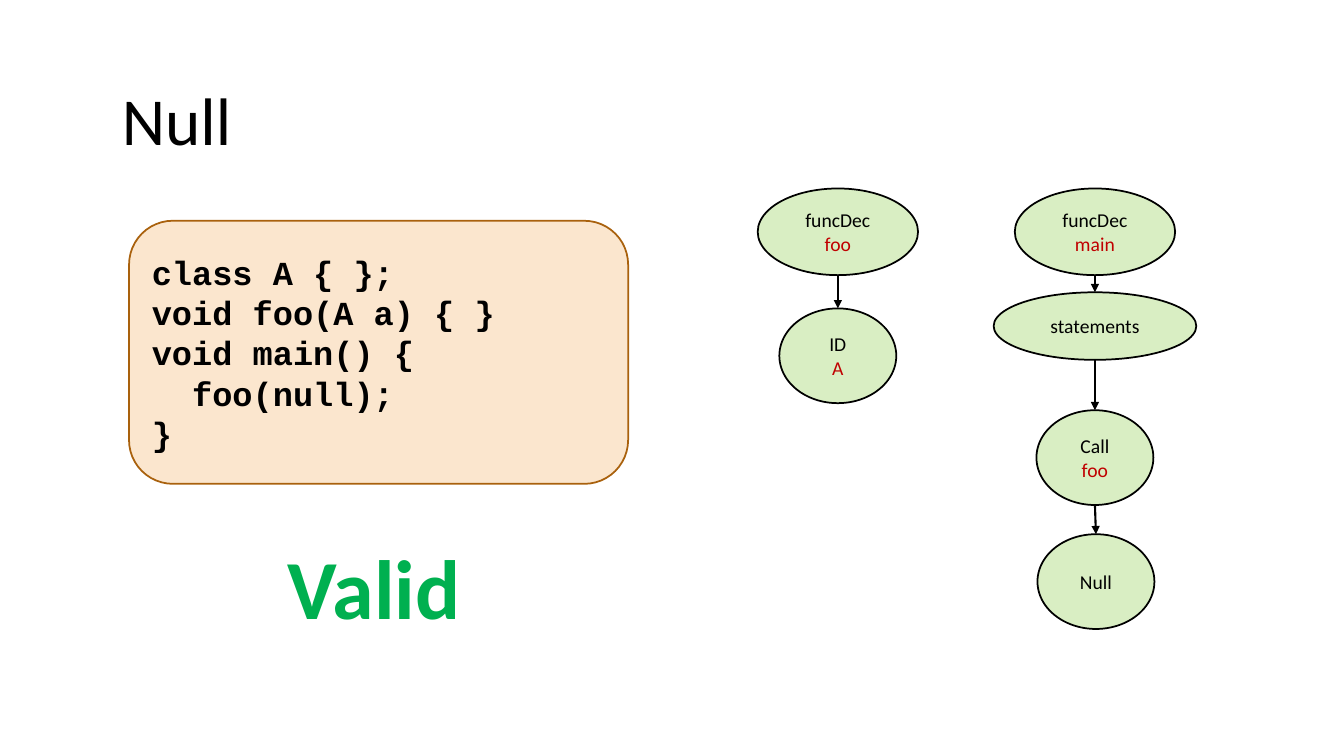
from dataclasses import dataclass

from lxml.etree import SubElement
from pptx import Presentation
from pptx.dml.color import RGBColor as RGB
from pptx.enum.shapes import MSO_CONNECTOR as LINK, MSO_SHAPE as SHAPE
from pptx.enum.text import MSO_ANCHOR as ANCHOR, MSO_AUTO_SIZE as FIT, PP_ALIGN as ALIGN
from pptx.oxml.ns import qn
from pptx.util import Inches, Pt


@dataclass(frozen=True)
class Theme:
    sans: str = "Calibri"
    mono: str = "Courier New"
    ink: str = "000000"
    name: str = "C00000"
    valid: str = "00B050"
    node: str = "92D050"
    panel: str = "FBE6CE"
    edge: str = "A9610D"
    title: int = 48
    result: int = 60
    code: int = 24
    label: int = 14
    alpha: int = 34
    border: float = 1.25
    arrow: float = 1.5


THEME = Theme()

CODE = """class A { };
void foo(A a) { }
void main() {
  foo(null);
}"""

WIDE = (1.59, 0.86)
FLAT = (2.01, 0.67)
ROUND = (1.16, 0.94)

TREES = [
    [("funcDec\nfoo", 8.31, 1.87, WIDE), ("ID\nA", 8.31, 3.06, ROUND)],
    [
        ("funcDec\nmain", 10.86, 1.87, WIDE),
        ("statements", 10.86, 2.9, FLAT),
        ("Call\nfoo", 10.86, 4.07, ROUND),
        ("Null", 10.87, 5.3, ROUND),
    ],
]


def style(par, size, color=THEME.ink, font=THEME.sans, bold=False, align=ALIGN.LEFT):
    par.alignment = align
    for run in par.runs:
        run.font.name = font
        run.font.size = Pt(size)
        run.font.bold = bold
        run.font.color.rgb = RGB.from_string(color)


def add_text(slide, text, box, size, **look):
    frame = slide.shapes.add_textbox(*map(Inches, box)).text_frame
    frame.word_wrap = True
    frame.auto_size = FIT.SHAPE_TO_FIT_TEXT
    frame.text = text
    style(frame.paragraphs[0], size, **look)


def add_form(slide, kind, box, fill, line, text):
    form = slide.shapes.add_shape(kind, *map(Inches, box))
    form.shadow.inherit = False
    form.fill.solid()
    form.fill.fore_color.rgb = RGB.from_string(fill)
    form.line.color.rgb = RGB.from_string(line)
    form.line.width = Pt(THEME.border)
    form.text_frame.text = text
    form.text_frame.vertical_anchor = ANCHOR.MIDDLE
    return form


def add_code(slide, text, box):
    panel = add_form(slide, SHAPE.ROUNDED_RECTANGLE, box, THEME.panel, THEME.edge, text)
    for par in panel.text_frame.paragraphs:
        style(par, THEME.code, font=THEME.mono, bold=True)


def add_node(slide, text, mid, top, size):
    wide, high = size
    box = (mid - wide / 2, top, wide, high)
    node = add_form(slide, SHAPE.OVAL, box, THEME.node, THEME.ink, text)
    color = node.fill._xPr.find(qn("a:solidFill"))[0]
    SubElement(color, qn("a:alpha"), val=str(THEME.alpha * 1000))
    for par, ink in zip(node.text_frame.paragraphs, (THEME.ink, THEME.name)):
        style(par, THEME.label, ink, align=ALIGN.CENTER)
    return node


def add_arrow(slide, above, below):
    arrow = slide.shapes.add_connector(
        LINK.STRAIGHT,
        above.left + above.width // 2,
        above.top + above.height,
        below.left + below.width // 2,
        below.top,
    )
    arrow.line.color.rgb = RGB.from_string(THEME.ink)
    arrow.line.width = Pt(THEME.arrow)
    SubElement(arrow.line._get_or_add_ln(), qn("a:tailEnd"), type="triangle")
    SubElement(arrow._element.spPr, qn("a:effectLst"))


def add_tree(slide, tree):
    nodes = [add_node(slide, *item) for item in tree]
    for above, below in zip(nodes, nodes[1:]):
        add_arrow(slide, above, below)


def main():
    deck = Presentation()
    deck.slide_width = Inches(13.33)
    deck.slide_height = Inches(7.5)
    slide = deck.slides.add_slide(deck.slide_layouts[6])
    add_text(slide, "Null", (1.11, 0.73, 11.09, 0.91), THEME.title)
    add_code(slide, CODE, (1.28, 2.19, 4.95, 2.61))
    for tree in TREES:
        add_tree(slide, tree)
    add_text(
        slide, "Valid", (2.18, 5.26, 3.06, 1.11), THEME.result,
        color=THEME.valid, bold=True, align=ALIGN.CENTER,
    )
    deck.save("out.pptx")


if __name__ == "__main__":
    main()
